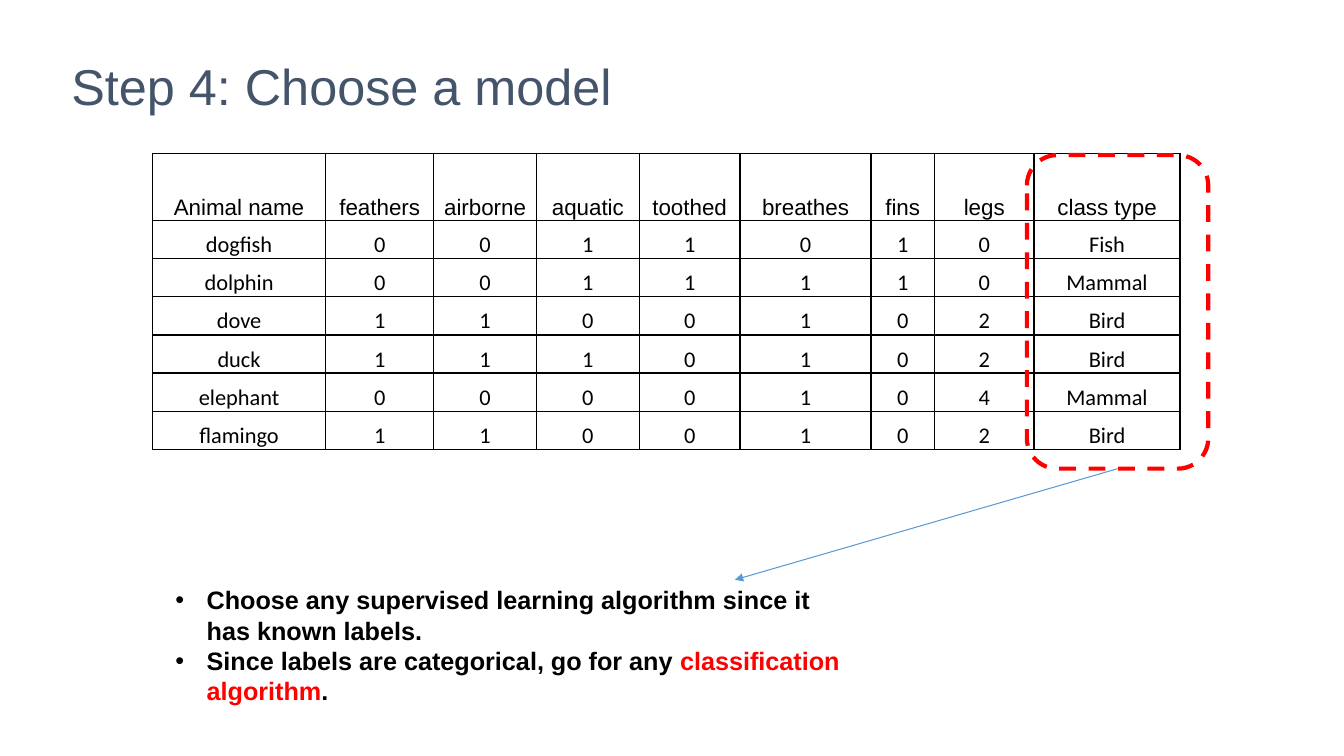
from dataclasses import dataclass

from lxml import etree
from pptx import Presentation
from pptx.dml.color import RGBColor
from pptx.enum.dml import MSO_LINE
from pptx.enum.shapes import MSO_CONNECTOR, MSO_SHAPE
from pptx.enum.text import MSO_ANCHOR, PP_ALIGN
from pptx.oxml.ns import qn
from pptx.util import Cm, Pt

BOTTOM = MSO_ANCHOR.BOTTOM
CENTER = PP_ALIGN.CENTER
DASH = MSO_LINE.DASH
STRAIGHT = MSO_CONNECTOR.STRAIGHT
ROUNDED = MSO_SHAPE.ROUNDED_RECTANGLE


@dataclass(frozen=True)
class Theme:
    """Colours, fonts and type sizes of the slide."""
    title: str = "44546A"
    ink: str = "000000"
    accent: str = "FF0000"
    arrow: str = "5B9BD5"
    heading_font: str = "Arial"
    data_font: str = "Calibri"
    title_size: int = 36
    table_size: int = 16
    advice_size: int = 18


THEME = Theme()
TITLE_BOX = (1.55, 1.26, 27.43, 1.9)
TABLE_BOX = (3.84, 3.86, 25.9, 7.46)
LABEL_BOX = (25.88, 3.91, 4.57, 7.9)
ADVICE_BOX = (4.17, 14.61, 17.42, 3.33)
ARROW_TIP_X = 18.52

COLUMN_WIDTHS = (4.37, 2.72, 2.59, 2.59, 2.54, 3.3, 1.6, 2.51, 3.68)
HEADER_HEIGHT = 1.7
HEADERS = ("Animal name", "feathers", "airborne", "aquatic", "toothed",
           "breathes", "fins", "legs", "class type")
ANIMALS = (
    ("dogfish", 0, 0, 1, 1, 0, 1, 0, "Fish"),
    ("dolphin", 0, 0, 1, 1, 1, 1, 0, "Mammal"),
    ("dove", 1, 1, 0, 0, 1, 0, 2, "Bird"),
    ("duck", 1, 1, 1, 0, 1, 0, 2, "Bird"),
    ("elephant", 0, 0, 0, 0, 1, 0, 4, "Mammal"),
    ("flamingo", 1, 1, 0, 0, 1, 0, 2, "Bird"),
)
ADVICE = (
    (("Choose any supervised learning algorithm since it has known labels.", THEME.ink),),
    (("Since labels are categorical, go for any ", THEME.ink),
     ("classification algorithm", THEME.accent), (".", THEME.ink)),
)


def rgb(colour):
    """Turn a hex string into a colour."""
    return RGBColor.from_string(colour)


def style_font(font, name, size, colour=None, bold=False):
    """Set the face, size, weight and optional colour of a font."""
    font.name, font.size, font.bold = name, Pt(size), bold
    if colour:
        font.color.rgb = rgb(colour)


def add_frame(slide, box):
    """Add a wrapping text box and return its text frame."""
    frame = slide.shapes.add_textbox(*map(Cm, box)).text_frame
    frame.word_wrap = True
    return frame


def add_title(slide, box):
    """Place the slide title."""
    heading = add_frame(slide, box).paragraphs[0]
    heading.text = "Step 4: Choose a model"
    style_font(heading.font, THEME.heading_font, THEME.title_size, THEME.title)


def add_borders(cell):
    """Draw a thin line on all four sides of a cell."""
    properties = cell._tc.get_or_add_tcPr()
    for side in ("a:lnL", "a:lnR", "a:lnT", "a:lnB"):
        line = etree.SubElement(properties, qn(side), w=str(Pt(1)))
        fill = etree.SubElement(line, qn("a:solidFill"))
        etree.SubElement(fill, qn("a:srgbClr"), val=THEME.ink)


def fill_cell(cell, value, font_name):
    """Write one bordered table cell."""
    add_borders(cell)
    cell.fill.background()
    cell.vertical_anchor = BOTTOM
    cell.margin_left = cell.margin_right = cell.margin_top = Cm(0.03)
    cell.margin_bottom = 0
    entry = cell.text_frame.paragraphs[0]
    entry.text = str(value)
    entry.alignment = CENTER
    style_font(entry.font, font_name, THEME.table_size, THEME.ink)


def add_animal_table(slide, box):
    """Place the table of animal features and classes."""
    rows = (HEADERS, *ANIMALS)
    table = slide.shapes.add_table(len(rows), len(HEADERS), *map(Cm, box)).table
    table.first_row = table.horz_banding = False
    for column, width in zip(table.columns, COLUMN_WIDTHS):
        column.width = Cm(width)
    animal_height = (box[3] - HEADER_HEIGHT) / len(ANIMALS)
    for r, values in enumerate(rows):
        table.rows[r].height = Cm(animal_height if r else HEADER_HEIGHT)
        for c, value in enumerate(values):
            fill_cell(table.cell(r, c), value, THEME.data_font if r else THEME.heading_font)


def add_label_highlight(slide, box):
    """Outline the class column with a dashed rounded frame."""
    highlight = slide.shapes.add_shape(ROUNDED, *map(Cm, box))
    highlight.shadow.inherit = False
    highlight.fill.background()
    highlight.line.color.rgb = rgb(THEME.accent)
    highlight.line.width = Pt(3)
    highlight.line.dash_style = DASH


def add_arrow(slide, source, target_x, target_y):
    """Point from the bottom centre of the source box to the target."""
    left, top, width, height = source
    ends = (left + width / 2, top + height, target_x, target_y)
    arrow = slide.shapes.add_connector(STRAIGHT, *map(Cm, ends))
    arrow.line.color.rgb = rgb(THEME.arrow)
    arrow.line.width = Pt(0.75)
    etree.SubElement(arrow.line._get_or_add_ln(), qn("a:tailEnd"), type="triangle")
    etree.SubElement(arrow._element.spPr, qn("a:effectLst"))


def add_bullet(paragraph):
    """Give a paragraph a hanging bullet."""
    properties = paragraph._p.get_or_add_pPr()
    properties.set("marL", str(Cm(0.79)))
    properties.set("indent", str(-Cm(0.79)))
    colour = etree.SubElement(properties, qn("a:buClr"))
    etree.SubElement(colour, qn("a:srgbClr"), val=THEME.ink)
    etree.SubElement(properties, qn("a:buFont"), typeface=THEME.heading_font)
    etree.SubElement(properties, qn("a:buChar"), char="•")


def add_advice(slide, box):
    """Place the bulleted advice on choosing an algorithm."""
    frame = add_frame(slide, box)
    for i, phrases in enumerate(ADVICE):
        advice = frame.add_paragraph() if i else frame.paragraphs[0]
        add_bullet(advice)
        style_font(advice.font, THEME.heading_font, THEME.advice_size, bold=True)
        for words, colour in phrases:
            phrase = advice.add_run()
            phrase.text = words
            phrase.font.color.rgb = rgb(colour)


def main():
    """Build and save the slide."""
    deck = Presentation()
    deck.slide_width, deck.slide_height = Cm(33.87), Cm(19.05)
    slide = deck.slides.add_slide(deck.slide_layouts[6])
    add_title(slide, TITLE_BOX)
    add_animal_table(slide, TABLE_BOX)
    add_label_highlight(slide, LABEL_BOX)
    add_arrow(slide, LABEL_BOX, ARROW_TIP_X, ADVICE_BOX[1])
    add_advice(slide, ADVICE_BOX)
    deck.save("out.pptx")


if __name__ == "__main__":
    main()
